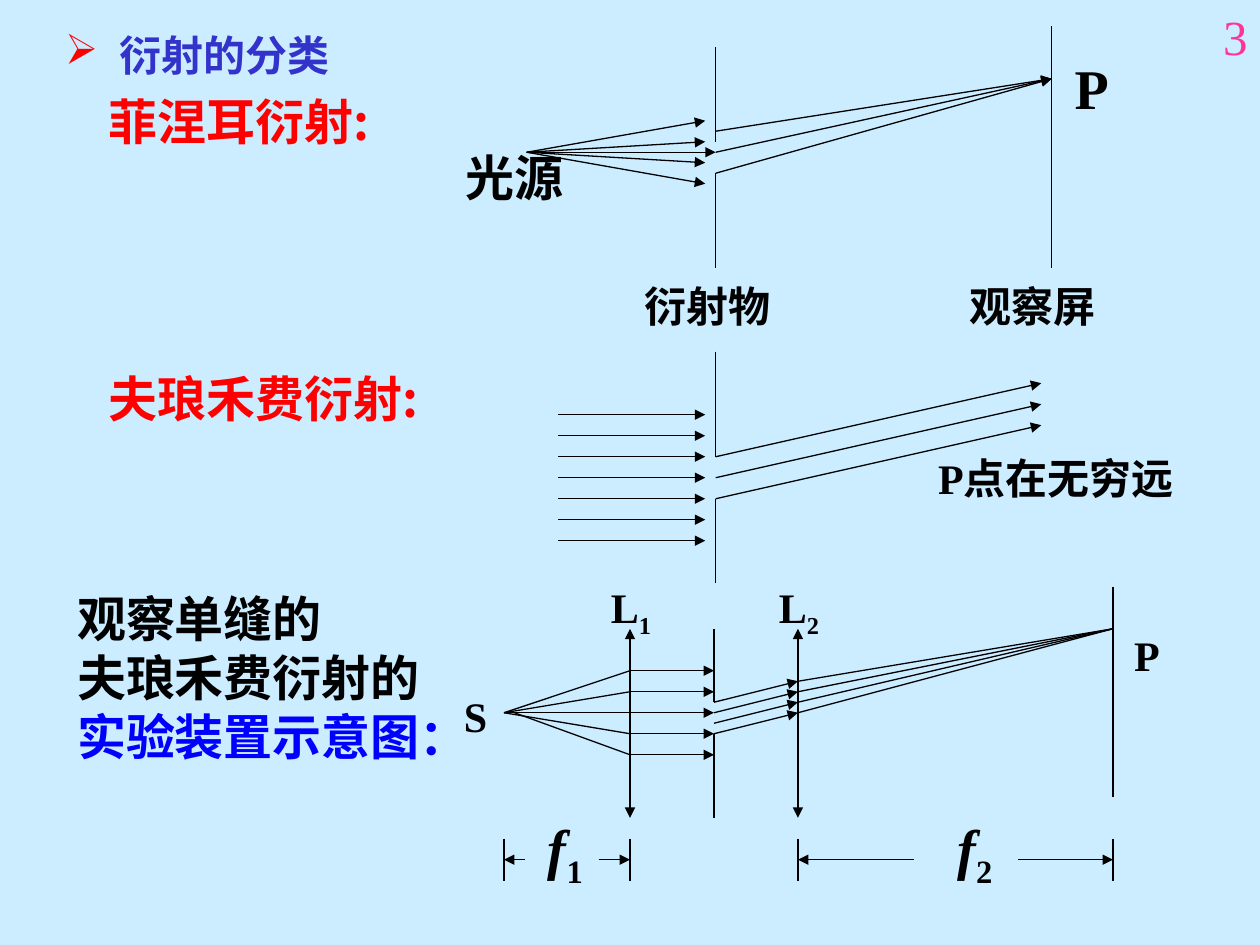
"""Build a slide that classifies diffraction with three ray diagrams."""
from lxml import etree
from pptx import Presentation
from pptx.dml.color import RGBColor
from pptx.enum.shapes import MSO_CONNECTOR
from pptx.enum.text import MSO_ANCHOR, MSO_AUTO_SIZE, PP_ALIGN
from pptx.oxml.ns import qn
from pptx.util import Pt

STRAIGHT = MSO_CONNECTOR.STRAIGHT
TOP = MSO_ANCHOR.TOP
GROW = MSO_AUTO_SIZE.SHAPE_TO_FIT_TEXT
LEFT, RIGHT = PP_ALIGN.LEFT, PP_ALIGN.RIGHT

COLOURS = {"background": "CCECFF", "ink": "000000", "red": "FF0000",
           "blue": "0000FF", "heading": "3333CC", "number": "FF3399"}
SERIF, SANS = "Times New Roman", "Noto Sans CJK SC"

HEADING = ("衍射的分类", (30, 13, 166, 36))
PAGE_NUMBER = ("3", (570, 0, 150, 36))
KINDS = [("菲涅耳衍射:", (55, 49, 169, 41)), ("夫琅禾费衍射:", (55, 207, 197, 41))]
SETUP = ([("观察单缝的", "ink"), ("夫琅禾费衍射的", "ink"), ("实验装置示意图：", "blue")],
         (37, 333, 240, 108))
CAPTIONS = [
    ("衍射物", 24, (361, 157, 87, 36)),
    ("光源", 28, (259, 81, 71, 41)),
    ("观察屏", 24, (547, 157, 87, 36)),
    ("P点在无穷远", 24, (529, 255, 150, 36)),
]
SYMBOLS = [
    ("P", "", 32, (607, 27, 34, 45)),
    ("L", "1", 24, (342, 329, 38, 36)),
    ("L", "2", 24, (438, 329, 38, 36)),
    ("S", "", 24, (258, 391, 28, 36)),
    ("P", "", 24, (641, 356, 29, 36)),
    ("f", "1", 32, (306, 461.5, 35, 45)),
    ("f", "2", 32, (540, 461.5, 35, 45)),
]


def fresnel_lines():
    slit, axis, source, screen, focus = 409, 87, 301, 601, 45
    lines = [(slit, 27, slit, 81, ""), (slit, 99, slit, 153, ""),
             (screen, 15, screen, 153, ""), (source, axis, slit, axis, "tail")]
    lines += [(source, axis, slit - 6, axis + rise, "tail") for rise in (-18, -6, 6, 18)]
    lines += [(slit, axis + rise, screen, focus, "tail") for rise in (-12, 0, 12)]
    return lines


def fraunhofer_lines():
    slit, axis = 409, 273
    lines = [(slit, 201, slit, 261, ""), (slit, 285, slit, 333, "")]
    lines += [(319, axis + 12 * step, slit - 6, axis + 12 * step, "tail")
              for step in range(-3, 4)]
    lines += [(slit, axis + rise, 595, axis + rise - 42, "tail") for rise in (-12, 0, 12)]
    return lines


def setup_lines():
    source, lens_1, slit, lens_2, screen = 288, 360, 408, 456, 636
    axis, focus, scale = 407.3, 359.3, 491.3
    lines = [(slit, focus, slit, 401.3, ""), (slit, 419.3, slit, 467.3, ""),
             (screen, 335.3, screen, 455.3, ""), (source, axis, slit, axis, "tail")]
    lines += [(lens, focus, lens, 467.3, "head tail") for lens in (lens_1, lens_2)]
    for rise in (-24, -12, 12, 24):
        start = source + 6 if rise == 24 else source
        lines += [(start, axis, lens_1, axis + rise, ""),
                  (lens_1, axis + rise, slit, axis + rise, "tail")]
    for rise in (-6, 0, 6, 12):
        bend = axis + rise - 12
        lines += [(slit, axis + rise, lens_2, bend, "tail"), (lens_2, bend, screen, focus, "")]
    lines += [(mark, scale - 12, mark, scale + 12, "")
              for mark in (source, lens_1, lens_2, screen)]
    lines += [(start, scale, end, scale, "tail")
              for start, end in ((342, lens_1), (300, source), (522, lens_2), (582, screen))]
    return lines


def draw_diagram(slide, lines):
    diagram = slide.shapes.add_group_shape()
    for x1, y1, x2, y2, arrows in lines:
        ray = diagram.shapes.add_connector(STRAIGHT, Pt(x1), Pt(y1), Pt(x2), Pt(y2))
        ray.line.width = Pt(0.75)
        ray.line.color.rgb = RGBColor.from_string(COLOURS["ink"])
        outline = ray.line._get_or_add_ln()
        for end in arrows.split():
            etree.SubElement(outline, qn(f"a:{end}End"), type="triangle")
        etree.SubElement(ray._element.spPr, qn("a:effectLst"))


def place(shape, box):
    shape.left, shape.top, shape.width, shape.height = map(Pt, box)


def style_run(run, size, colour, font=SERIF, bold=True):
    run.font.size, run.font.bold, run.font.name = Pt(size), bold, font
    run.font.color.rgb = RGBColor.from_string(COLOURS[colour])
    etree.SubElement(run._r.get_or_add_rPr(), qn("a:ea"), typeface=SANS)


def style_frame(frame, wrap=False):
    frame.word_wrap, frame.auto_size, frame.vertical_anchor = wrap, GROW, TOP


def add_label(slide, paragraphs, size, box, font=SERIF, wrap=False):
    label = slide.shapes.add_textbox(*map(Pt, box))
    frame = label.text_frame
    frame.text = "\n".join(text for text, _ in paragraphs)
    style_frame(frame, wrap)
    for paragraph, (_, colour) in zip(frame.paragraphs, paragraphs):
        paragraph.line_spacing = Pt(round(size * 1.2, 1))
        style_run(paragraph.runs[0], size, colour, font)


def add_symbol(slide, letter, index, size, box):
    frame = slide.shapes.add_textbox(*map(Pt, box)).text_frame
    frame.text = letter
    style_frame(frame)
    paragraph = frame.paragraphs[0]
    style_run(paragraph.runs[0], size, "ink")
    if letter == "f":
        paragraph.runs[0].font.italic = True
    if index:
        subscript = paragraph.add_run()
        subscript.text = index
        style_run(subscript, size, "ink")
        subscript._r.get_or_add_rPr().set("baseline", "-25000")


def add_heading(slide):
    text, box = HEADING
    heading = slide.shapes.title
    place(heading, box)
    frame = heading.text_frame
    frame.text = text
    style_frame(frame)
    paragraph = frame.paragraphs[0]
    paragraph.alignment, paragraph.line_spacing = LEFT, Pt(28.8)
    style_run(paragraph.runs[0], 24, "heading")
    properties = paragraph._p.get_or_add_pPr()
    properties.set("marL", str(Pt(31)))
    properties.set("indent", str(-Pt(31)))
    bullet_colour = etree.SubElement(properties, qn("a:buClr"))
    etree.SubElement(bullet_colour, qn("a:srgbClr"), val=COLOURS["red"])
    etree.SubElement(properties, qn("a:buChar"), char="➢")


def add_page_number(slide):
    text, box = PAGE_NUMBER
    frame = slide.shapes.add_textbox(*map(Pt, box)).text_frame
    frame.text = text
    frame.word_wrap = True
    paragraph = frame.paragraphs[0]
    paragraph.alignment, paragraph.space_before = RIGHT, Pt(3.5)
    style_run(paragraph.runs[0], 28, "number", bold=False)


def main():
    deck = Presentation()
    deck.slide_width, deck.slide_height = Pt(720), Pt(540)
    slide = deck.slides.add_slide(deck.slide_layouts[5])
    slide.background.fill.solid()
    slide.background.fill.fore_color.rgb = RGBColor.from_string(COLOURS["background"])
    add_heading(slide)
    add_page_number(slide)
    for lines in (fresnel_lines(), fraunhofer_lines(), setup_lines()):
        draw_diagram(slide, lines)
    for text, box in KINDS:
        add_label(slide, [(text, "red")], 28, box, SANS)
    for text, size, box in CAPTIONS:
        add_label(slide, [(text, "ink")], size, box, wrap=text.startswith("P"))
    for symbol in SYMBOLS:
        add_symbol(slide, *symbol)
    paragraphs, box = SETUP
    add_label(slide, paragraphs, 28, box, SANS, wrap=True)
    deck.save("out.pptx")


if __name__ == "__main__":
    main()
